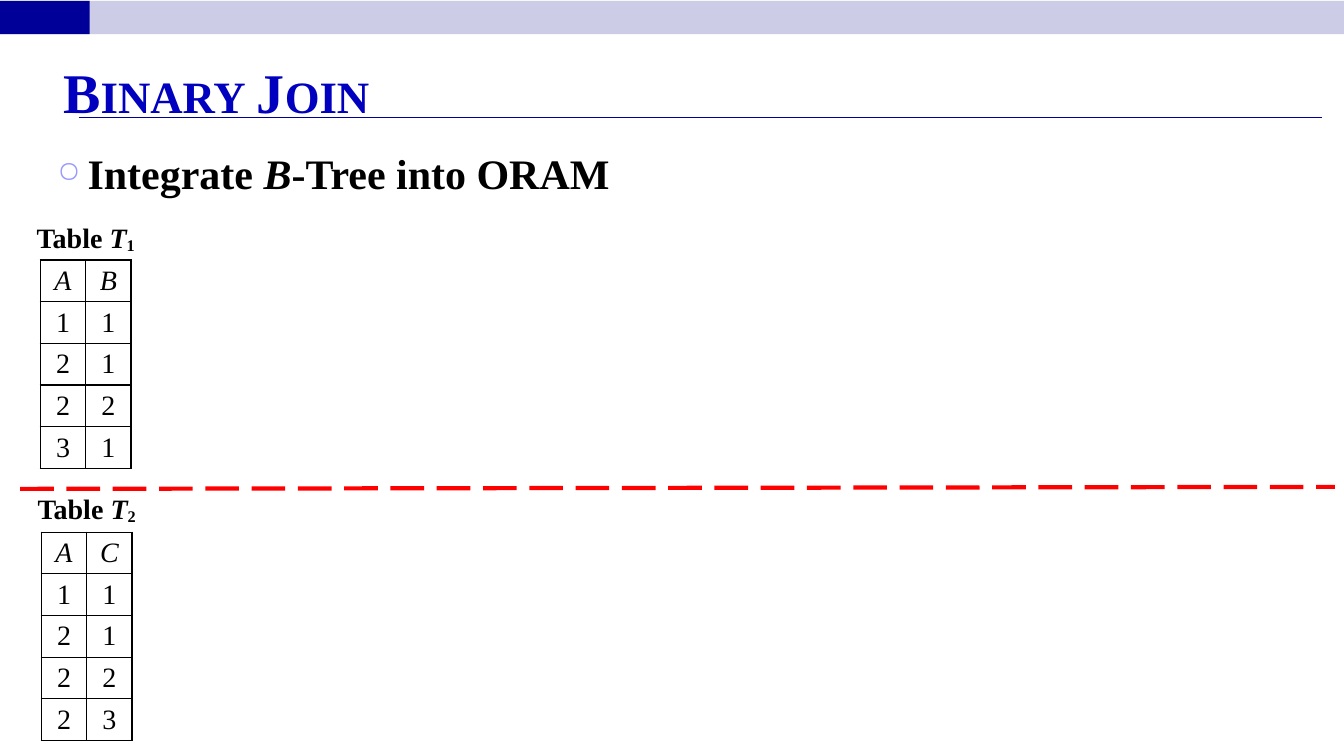
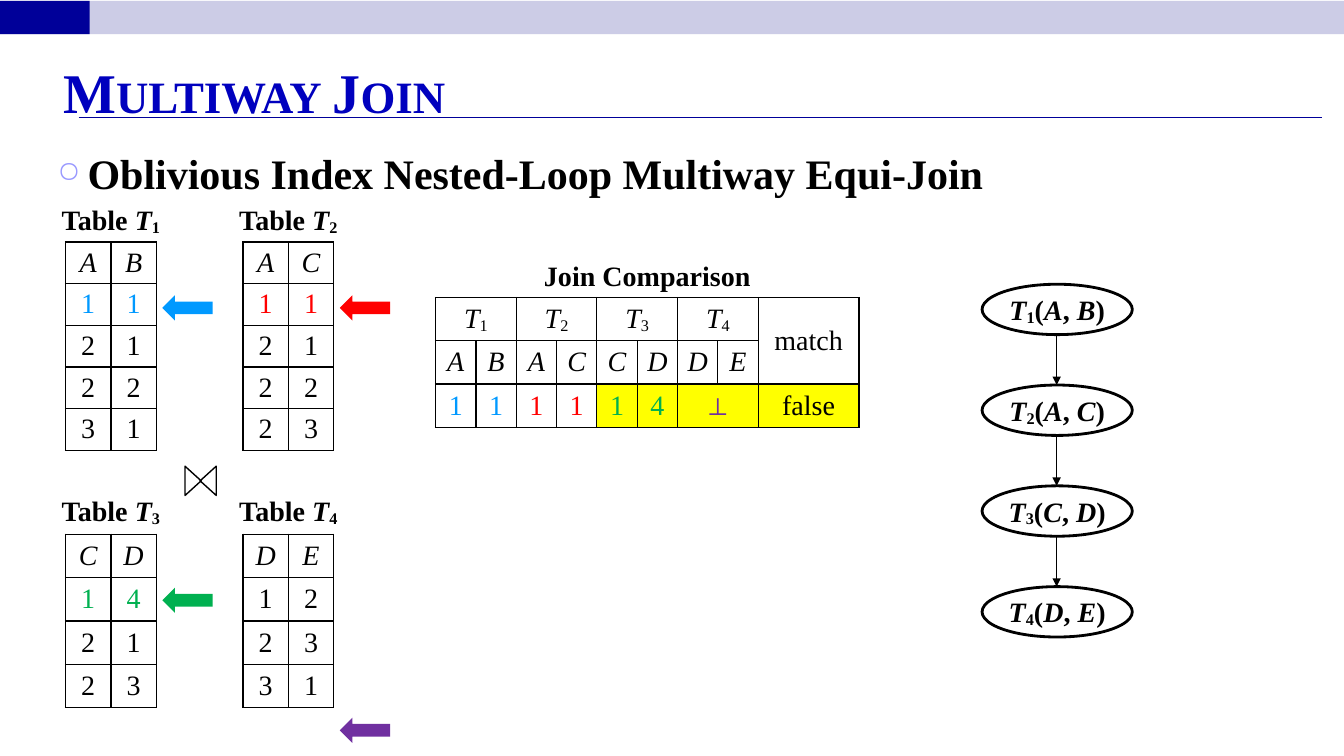
from dataclasses import dataclass
from itertools import pairwise

from lxml.etree import SubElement
from pptx import Presentation
from pptx.dml.color import RGBColor
from pptx.enum.dml import MSO_LINE
from pptx.enum.shapes import MSO_CONNECTOR, MSO_SHAPE
from pptx.enum.text import MSO_ANCHOR, PP_ALIGN
from pptx.oxml.ns import qn
from pptx.util import Emu, Pt

SCALE = 9144  # EMU in one px, 100 px to the inch


@dataclass(frozen=True)
class Theme:
    font: str = "Times New Roman"
    title_size: int = 40
    body_size: int = 30
    small_size: int = 20
    navy: str = "000099"
    band: str = "CCCCE6"
    title: str = "0000BE"
    bullet: str = "9999FF"
    ink: str = "000000"
    blue: str = "0099FF"
    red: str = "FF0000"
    green: str = "00B050"
    purple: str = "7030A0"
    yellow: str = "FFFF00"


T = Theme()


def px(*lengths):
    return [Emu(n * SCALE) for n in lengths]


def rgb(color):
    return RGBColor.from_string(color)


# --- text ---
def write(tf, parts, size=T.small_size, color=T.ink, bold=True, align=PP_ALIGN.CENTER):
    """Write (text, style) parts; style is "", "i" (italic) or "sub"."""
    p = tf.paragraphs[0]
    p.alignment = align
    for text, style in parts:
        r = p.add_run()
        r.text = text
        formats = {"name": T.font, "size": Pt(size), "bold": bold, "italic": style == "i"}
        for name, value in formats.items():
            setattr(r.font, name, value)
        r.font.color.rgb = rgb(color)
        if style == "sub":
            r.font._element.set("baseline", "-10000")
    return p


def add_text(s, box, parts, anchor=MSO_ANCHOR.TOP, **style):
    tf = s.shapes.add_textbox(*px(*box)).text_frame
    tf.word_wrap = True
    tf.vertical_anchor = anchor
    return tf, write(tf, parts, **style)


def relation(number, columns=()):
    """Parts for a table's name, with its columns in brackets if given."""
    parts = [("T", "i"), (str(number), "sub")]
    if columns:
        first, second = columns
        parts += [("(", ""), (first, "i"), (", ", ""), (second, "i"), (")", "")]
    return parts


# --- shapes and lines ---
def add_box(s, kind, box, fill=None, line=None, width=1, rotation=0):
    sp = s.shapes.add_shape(kind, *px(*box))
    sp.shadow.inherit = False
    sp.rotation = rotation
    if fill:
        sp.fill.solid()
        sp.fill.fore_color.rgb = rgb(fill)
    else:
        sp.fill.background()
    if line:
        sp.line.color.rgb = rgb(line)
        sp.line.width = Pt(width)
    else:
        sp.line.fill.background()
    return sp


def add_line(s, ends, color=T.ink, width=1.0, dash=None, arrow=False):
    cx = s.shapes.add_connector(MSO_CONNECTOR.STRAIGHT, *px(*ends))
    cx.line.color.rgb = rgb(color)
    cx.line.width = Pt(width)
    if dash:
        cx.line.dash_style = dash
    if arrow:
        SubElement(cx.line._get_or_add_ln(), qn("a:tailEnd"), type="triangle")
    SubElement(cx._element.spPr, qn("a:effectLst"))


# --- tables ---
def add_grid(s, left, top, widths, row_height, rows):
    shape = s.shapes.add_table(rows, len(widths),
                               *px(left, top, sum(widths), rows * row_height))
    table = shape.table
    table.first_row = table.horz_banding = False
    for column, width in zip(table.columns, widths):
        column.width = px(width)[0]
    for row in table.rows:
        row.height = px(row_height)[0]
        for cell in row.cells:
            format_cell(cell)
    return table


def format_cell(cell):
    margin = px(4)[0]
    formats = {"margin_left": margin, "margin_right": margin, "margin_top": margin,
               "margin_bottom": margin, "vertical_anchor": MSO_ANCHOR.MIDDLE}
    for name, value in formats.items():
        setattr(cell, name, value)
    tc_pr = cell._tc.get_or_add_tcPr()
    for side in ("lnL", "lnR", "lnT", "lnB"):
        ln = SubElement(tc_pr, qn(f"a:{side}"), w=str(Pt(1)))
        SubElement(SubElement(ln, qn("a:solidFill")), qn("a:srgbClr"), val=T.ink)
    cell.fill.background()


def fill_cell(cell, parts, color=T.ink, fill=None):
    write(cell.text_frame, parts, color=color, bold=False)
    if fill:
        cell.fill.solid()
        cell.fill.fore_color.rgb = rgb(fill)


def data_table(s, left, top, number, rows, row_height=41, mark=None, caption_gap=44):
    """Captioned two-column table; rows are strings with one letter per column."""
    add_text(s, (left - 15, top - caption_gap, 120, 44), [("Table ", "")] + relation(number))
    table = add_grid(s, left, top, [45, 45], row_height, len(rows))
    for i, row in enumerate(rows):
        for j, value in enumerate(row):
            color = mark if mark and i == 1 else T.ink
            fill_cell(table.cell(i, j), [(value, "" if i else "i")], color)


def comparison_table(s, left, top):
    widths = [40] * 8 + [100]
    add_text(s, (left, top - 43, sum(widths), 44), [("Join Comparison", "")])
    table = add_grid(s, left, top, widths, 43, 3)
    # Two header rows
    for n in range(4):
        head = table.cell(0, 2 * n)
        head.merge(table.cell(0, 2 * n + 1))
        fill_cell(head, relation(n + 1))
    for j, name in enumerate("ABACCDDE"):
        fill_cell(table.cell(1, j), [(name, "i")])
    match = table.cell(0, 8)
    match.merge(table.cell(1, 8))
    fill_cell(match, [("match", "")])
    # Current tuples
    table.cell(2, 6).merge(table.cell(2, 7))
    current = [(0, "1", T.blue, None), (1, "1", T.blue, None),
               (2, "1", T.red, None), (3, "1", T.red, None),
               (4, "1", T.green, T.yellow), (5, "4", T.green, T.yellow),
               (6, "⊥", T.purple, T.yellow), (8, "false", T.ink, T.yellow)]
    for j, text, color, fill in current:
        fill_cell(table.cell(2, j), [(text, "")], color, fill)


# --- diagram parts ---
def join_sign(s, left, top):
    for dx, rotation in ((0, 90), (15, 270)):
        add_box(s, MSO_SHAPE.ISOSCELES_TRIANGLE, (left + dx, top, 29, 16),
                line=T.ink, rotation=rotation)


def join_order(s, left, top, columns):
    width, height, step = 149, 50, 100
    tops = [top + i * step for i in range(len(columns))]
    for number, (y, pair) in enumerate(zip(tops, columns), 1):
        node = add_box(s, MSO_SHAPE.OVAL, (left, y, width, height), line=T.ink, width=2)
        tf = node.text_frame
        tf.word_wrap = False
        tf.vertical_anchor = MSO_ANCHOR.MIDDLE
        write(tf, relation(number, pair))
    middle = left + width // 2
    for upper, lower in pairwise(tops):
        add_line(s, (middle, upper + height, middle, lower), arrow=True)


# --- slides ---
def base_slide(prs, title, bullet):
    s = prs.slides.add_slide(prs.slide_layouts[6])
    # Top band and title rule
    for width, color in ((1333, T.band), (89, T.navy)):
        add_box(s, MSO_SHAPE.RECTANGLE, (0, 1, width, 33), fill=color)
    add_line(s, (78, 117, 1311, 117), T.navy, 0.75)
    # Title
    tf, p = add_text(s, (53, 52, 1225, 74), [(title, "")], MSO_ANCHOR.BOTTOM,
                     size=T.title_size, color=T.title, align=PP_ALIGN.LEFT)
    tf.margin_bottom = px(2)[0]
    p.runs[0].font._element.set("cap", "small")
    # Bullet line
    _, p = add_text(s, (47, 147, 1197, 548), bullet, size=T.body_size, align=PP_ALIGN.LEFT)
    p.space_before = Pt(6)
    p.line_spacing = 0.9
    p_pr = p._p.get_or_add_pPr()
    indent = px(30)[0]
    p_pr.set("marL", str(indent))
    p_pr.set("indent", str(-indent))
    SubElement(SubElement(p_pr, qn("a:buClr")), qn("a:srgbClr"), val=T.bullet)
    SubElement(p_pr, qn("a:buSzPct"), val="70000")
    SubElement(p_pr, qn("a:buChar"), char="○")
    return s


def binary_join(prs):
    s = base_slide(prs, "Binary Join",
                   [("Integrate ", ""), ("B", "i"), ("-Tree into ORAM", "")])
    data_table(s, 40, 258, 1, ["AB", "11", "21", "22", "31"])
    data_table(s, 41, 528, 2, ["AC", "11", "21", "22", "23"], caption_gap=45)
    add_line(s, (20, 485, 1324, 483), T.red, 3, MSO_LINE.LONG_DASH)


def multiway_join(prs):
    s = base_slide(prs, "Multiway Join",
                   [("Oblivious Index Nested-Loop Multiway Equi-Join", "")])
    # Input tables
    left, right, upper, lower = 65, 241, 240, 530
    data_table(s, left, upper, 1, ["AB", "11", "21", "22", "31"], mark=T.blue)
    data_table(s, right, upper, 2, ["AC", "11", "21", "22", "23"], mark=T.red)
    data_table(s, left, lower, 3, ["CD", "14", "21", "23"], 43, T.green, 45)
    data_table(s, right, lower, 4, ["DE", "12", "23", "31"], 43, caption_gap=45)
    join_sign(s, 177, 469)
    # Row pointers
    pointers = [(left, upper + 53, T.blue), (right, upper + 53, T.red),
                (left, lower + 53, T.green), (right, lower + 182, T.purple)]
    for x, y, color in pointers:
        add_box(s, MSO_SHAPE.LEFT_ARROW, (x + 96, y, 50, 25), fill=color)
    comparison_table(s, 432, 295)
    join_order(s, 974, 282, ["AB", "AC", "CD", "DE"])


def main():
    prs = Presentation()
    prs.slide_width, prs.slide_height = px(1333, 750)
    binary_join(prs)
    multiway_join(prs)
    prs.save("out.pptx")


if __name__ == "__main__":
    main()
